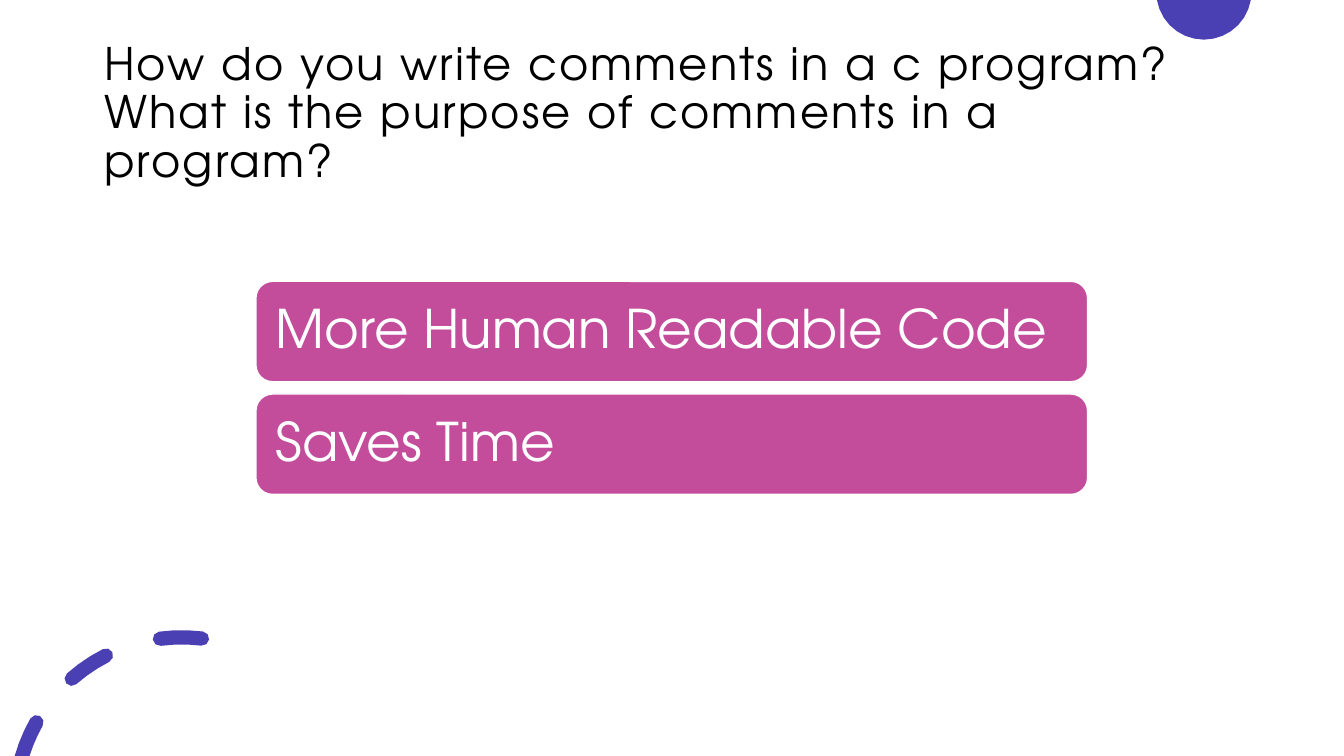
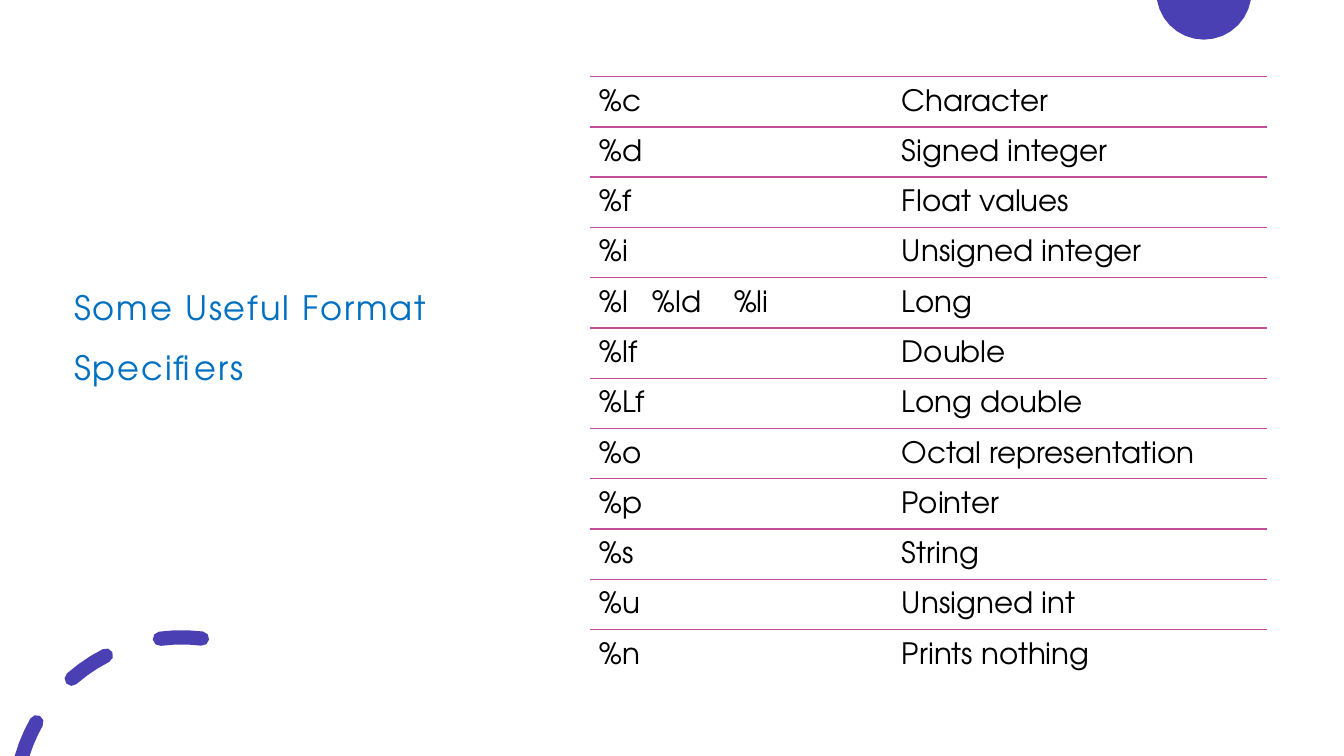
import math

import lxml.etree
import pptx
import pptx.dml.color
import pptx.enum.shapes
import pptx.enum.text
import pptx.oxml.ns
import pptx.util

Cm = pptx.util.Cm
FONT = "TeX Gyre Adventor"
COLORS = {
    "accent": "4A3FB3",
    "pink": "C34D9B",
    "heading": "0070C0",
    "text": "000000",
    "paper": "FFFFFF",
}
SLIDE_WIDTH, SLIDE_HEIGHT = 33.87, 19.05

QUESTION = (
    "How do you write comments in a c program? "
    "What is the purpose of comments in a program?"
)
PURPOSES = ["More Human Readable Code", "Saves Time"]
SPECIFIERS = [
    ("%c", "Character"),
    ("%d", "Signed integer"),
    ("%f", "Float values"),
    ("%i", "Unsigned integer"),
    ("%l\t%ld\t%li", "Long"),
    ("%lf", "Double"),
    ("%Lf", "Long double"),
    ("%o", "Octal representation"),
    ("%p", "Pointer"),
    ("%s", "String"),
    ("%u", "Unsigned int"),
    ("%n", "Prints nothing"),
]
CODE_TABS = (1.34, 3.39)
MEANING_TAB = 7.62


def rgb(name):
    return pptx.dml.color.RGBColor.from_string(COLORS[name])


def add_xml(parent, tag, **attributes):
    return lxml.etree.SubElement(parent, pptx.oxml.ns.qn(tag), attributes)


def write_text(frame, text, size, color="text", line_spacing=0.9, tracking=0, tabs=()):
    paragraph = frame.paragraphs[0]
    if tabs:
        tab_list = add_xml(paragraph._p.get_or_add_pPr(), "a:tabLst")
        for position in tabs:
            add_xml(tab_list, "a:tab", pos=str(Cm(position)), algn="l")
    paragraph.alignment = pptx.enum.text.PP_ALIGN.LEFT
    paragraph.line_spacing = line_spacing
    run = paragraph.add_run()
    run.text = text
    run.font.name = FONT
    run.font.size = pptx.util.Pt(size)
    run.font.color.rgb = rgb(color)
    if tracking:
        run._r.get_or_add_rPr().set("spc", str(round(tracking * 100)))


def set_insets(frame, left, top, right, bottom):
    frame.margin_left, frame.margin_top = Cm(left), Cm(top)
    frame.margin_right, frame.margin_bottom = Cm(right), Cm(bottom)


def add_text_box(slide, left, top, width, height, text, insets, anchor="TOP", **text_format):
    frame = slide.shapes.add_textbox(Cm(left), Cm(top), Cm(width), Cm(height)).text_frame
    frame.word_wrap = True
    frame.vertical_anchor = pptx.enum.text.MSO_ANCHOR[anchor]
    set_insets(frame, *insets)
    write_text(frame, text, **text_format)


def arc_points(center, radius, start, end, steps):
    points = []
    for step in range(steps + 1):
        angle = math.radians(start + (end - start) * step / steps)
        points.append((
            Cm(center[0] + radius * math.sin(angle)),
            Cm(center[1] - radius * math.cos(angle)),
        ))
    return points


def add_outline(slide, contours):
    builder = slide.shapes.build_freeform(*contours[0][0])
    for index, contour in enumerate(contours):
        if index:
            builder.move_to(*contour[0])
        builder.add_line_segments(contour[1:], close=True)
    outline = builder.convert_to_shape()
    outline.shadow.inherit = False
    outline.fill.solid()
    outline.fill.fore_color.rgb = rgb("accent")
    outline.line.fill.background()


def add_corner_disc(slide, center_x, center_y, radius):
    half = math.degrees(math.acos(-center_y / radius))
    add_outline(slide, [arc_points((center_x, center_y), radius, 180 - half, 180 + half, 14)])


def add_dashed_arc(slide, center, radius, thickness, dashes):
    cap_radius = thickness / 2
    outer, inner = radius + cap_radius, radius - cap_radius

    def slide_edge(ring):
        return -math.degrees(math.acos((center[1] - SLIDE_HEIGHT) / ring))

    def cap(angle, start, end):
        turn = math.radians(angle)
        middle = (center[0] + radius * math.sin(turn), center[1] - radius * math.cos(turn))
        return arc_points(middle, cap_radius, angle + start, angle + end, 4)[1:-1]

    contours = []
    for start, end in dashes:
        contour = arc_points(center, outer, max(start, slide_edge(outer)), end, 3)
        contour += cap(end, 0, 180)
        contour += arc_points(center, inner, end, max(start, slide_edge(inner)), 3)
        if start > slide_edge(inner):
            contour += cap(start, 180, 360)
        contours.append(contour)
    add_outline(slide, contours)


def add_decorated_slide(deck):
    slide = deck.slides.add_slide(deck.slide_layouts[6])
    slide.background.fill.solid()
    slide.background.fill.fore_color.rgb = rgb("paper")
    add_corner_disc(slide, 30.34, -0.2, 1.2)
    add_dashed_arc(slide, (4.58, 20.26), 4.2, 0.36, [(-90, -60.6), (-41.3, -27), (-7.5, 7)])
    return slide


def add_heading(slide, left, top, width, height, text, **text_format):
    add_text_box(slide, left, top, width, height, text, (0.3, 0.3, 0.3, 0.25), **text_format)


def add_purpose_bars(slide, left, top, width, bar_height, gap):
    for index, purpose in enumerate(PURPOSES):
        bar = slide.shapes.add_shape(
            pptx.enum.shapes.MSO_SHAPE.ROUNDED_RECTANGLE,
            Cm(left), Cm(top + index * (bar_height + gap)), Cm(width), Cm(bar_height),
        )
        bar.shadow.inherit = False
        bar.fill.solid()
        bar.fill.fore_color.rgb = rgb("pink")
        bar.line.color.rgb = rgb("paper")
        bar.line.width = pptx.util.Pt(1)
        bar.text_frame.word_wrap = True
        bar.text_frame.vertical_anchor = pptx.enum.text.MSO_ANCHOR.MIDDLE
        set_insets(bar.text_frame, 0.38, 0.4, 0.4, 0.4)
        write_text(bar.text_frame, purpose, size=38, color="paper")


def add_rule(slide, left, top, width):
    rule = slide.shapes.add_connector(
        pptx.enum.shapes.MSO_CONNECTOR.STRAIGHT,
        Cm(left), Cm(top), Cm(left + width), Cm(top),
    )
    rule.line.color.rgb = rgb("pink")
    rule.line.width = pptx.util.Pt(1)
    add_xml(rule._element.spPr, "a:effectLst")


def add_specifier_list(slide, left, top, width, height):
    row_height = height / len(SPECIFIERS)
    for index, (code, meaning) in enumerate(SPECIFIERS):
        row_top = top + index * row_height
        tabs = (CODE_TABS if "\t" in code else ()) + (MEANING_TAB,)
        add_rule(slide, left, row_top, width)
        add_text_box(
            slide, left, row_top, width, row_height, f"{code}\t{meaning}",
            (0.23, 0.23, 0.23, 0.23), size=21, tabs=tabs,
        )


def build_comments_slide(deck):
    slide = add_decorated_slide(deck)
    add_heading(
        slide, 2.33, 1.02, 29.21, 3.68, QUESTION, anchor="MIDDLE", size=32, tracking=1.5,
    )
    add_purpose_bars(slide, 6.45, 7.09, 20.96, 2.53, 0.31)


def build_specifiers_slide(deck):
    slide = add_decorated_slide(deck)
    add_heading(
        slide, 1.57, 6.41, 10.39, 10.72, "Some Useful Format Specifiers",
        size=24, color="heading", line_spacing=1.5, tracking=1.4,
    )
    add_specifier_list(slide, 14.88, 1.93, 17.05, 15.2)


def main():
    deck = pptx.Presentation()
    deck.slide_width, deck.slide_height = Cm(SLIDE_WIDTH), Cm(SLIDE_HEIGHT)
    build_comments_slide(deck)
    build_specifiers_slide(deck)
    deck.save("out.pptx")


if __name__ == "__main__":
    main()
